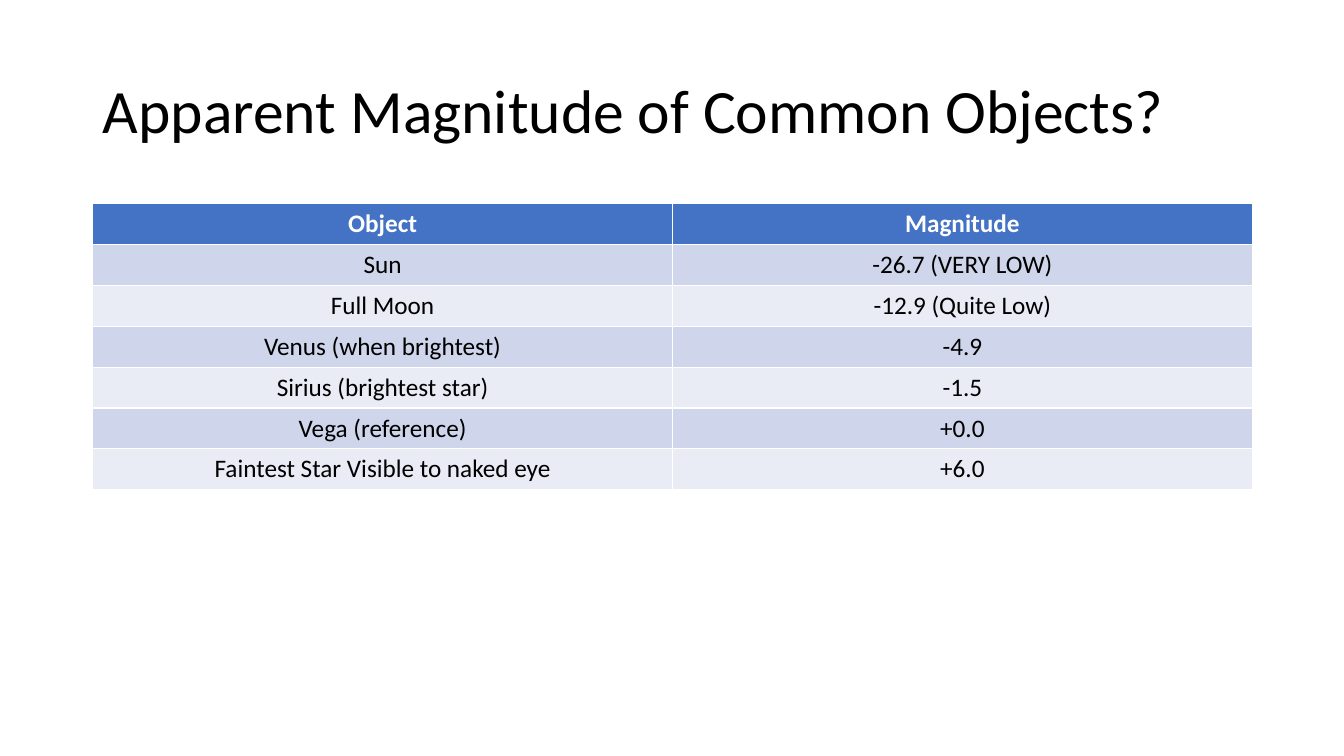
from dataclasses import dataclass

from pptx import Presentation
from pptx.dml.color import RGBColor
from pptx.enum.text import MSO_ANCHOR, PP_ALIGN
from pptx.util import Inches, Pt

LEFT, CENTER = PP_ALIGN.LEFT, PP_ALIGN.CENTER
MIDDLE = MSO_ANCHOR.MIDDLE
TITLE_ONLY = 5

TITLE = "Apparent Magnitude of Common Objects?"
MAGNITUDES = [
    ("Object", "Magnitude"),
    ("Sun", "-26.7 (VERY LOW)"),
    ("Full Moon", "-12.9 (Quite Low)"),
    ("Venus (when brightest)", "-4.9"),
    ("Sirius (brightest star)", "-1.5"),
    ("Vega (reference)", "+0.0"),
    ("Faintest Star Visible to naked eye", "+6.0"),
]

MARGIN, CONTENT_WIDTH = 0.92, 11.5
TITLE_TOP, TITLE_HEIGHT = 0.4, 1.45
TABLE_TOP, TABLE_HEIGHT = 2.02, 2.84


@dataclass(frozen=True)
class Theme:
    font: str = "Calibri"
    title_size: int = 44
    table_size: int = 18
    text: str = "000000"
    header_text: str = "FFFFFF"
    header_fill: str = "4472C4"
    bands: tuple = ("CFD5EA", "E9EBF5")


THEME = Theme()


def style_paragraph(para, size, color, align, bold=False):
    para.alignment = align
    para.font.name = THEME.font
    para.font.size = Pt(size)
    para.font.bold = bold
    para.font.color.rgb = RGBColor.from_string(color)


def add_title(page):
    title = page.shapes.title
    title.left, title.top = Inches(MARGIN), Inches(TITLE_TOP)
    title.width, title.height = Inches(CONTENT_WIDTH), Inches(TITLE_HEIGHT)
    title.text_frame.text = TITLE
    title.text_frame.vertical_anchor = MIDDLE
    para = title.text_frame.paragraphs[0]
    para.line_spacing = 0.9
    style_paragraph(para, THEME.title_size, THEME.text, LEFT)


def add_magnitude_table(page):
    """Add the table; its default style draws the white cell borders."""
    table = page.shapes.add_table(
        len(MAGNITUDES), len(MAGNITUDES[0]),
        Inches(MARGIN), Inches(TABLE_TOP),
        Inches(CONTENT_WIDTH), Inches(TABLE_HEIGHT),
    ).table
    for row, values in enumerate(MAGNITUDES):
        header = row == 0
        fill = THEME.header_fill if header else THEME.bands[(row - 1) % 2]
        color = THEME.header_text if header else THEME.text
        for column, value in enumerate(values):
            cell = table.cell(row, column)
            cell.text = value
            cell.fill.solid()
            cell.fill.fore_color.rgb = RGBColor.from_string(fill)
            para = cell.text_frame.paragraphs[0]
            style_paragraph(para, THEME.table_size, color, CENTER, header)


def main():
    deck = Presentation()
    deck.slide_width, deck.slide_height = Inches(13.33), Inches(7.5)
    page = deck.slides.add_slide(deck.slide_layouts[TITLE_ONLY])
    add_title(page)
    add_magnitude_table(page)
    deck.save("out.pptx")


if __name__ == "__main__":
    main()
